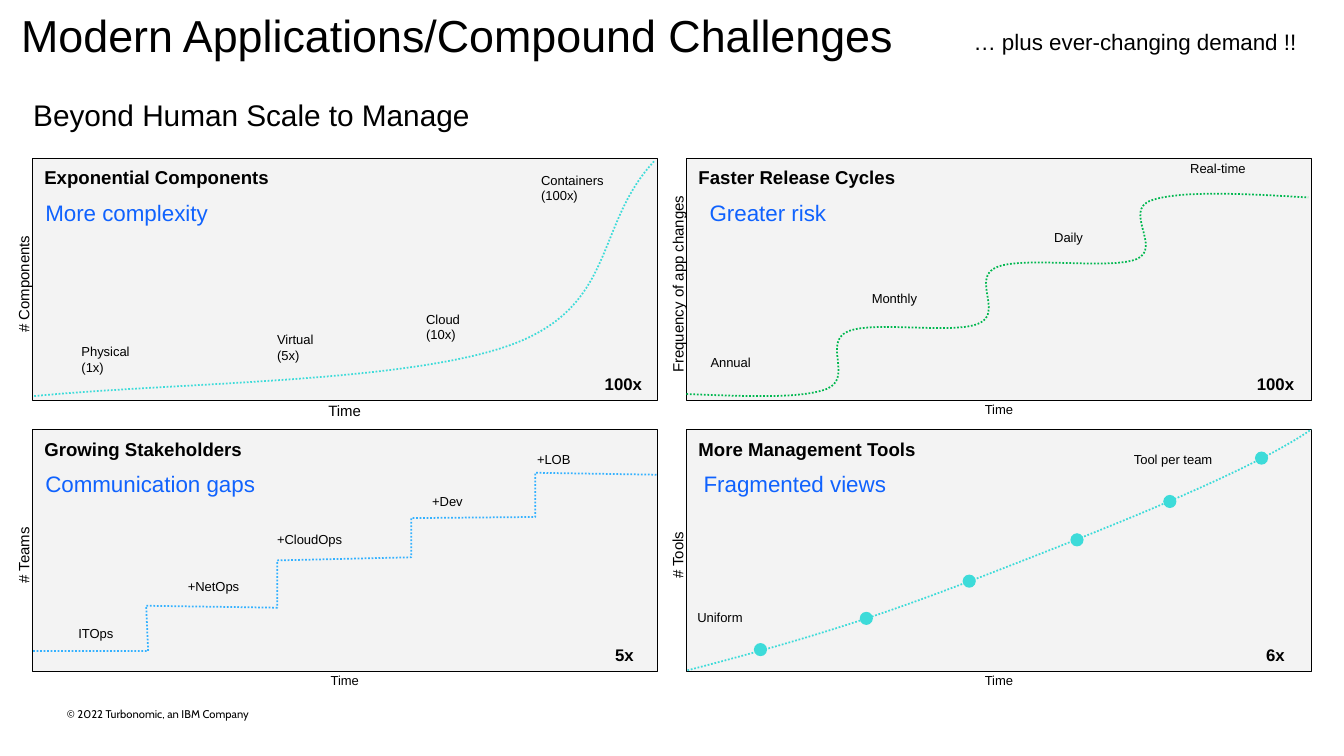
from lxml import etree
from pptx import Presentation
from pptx.dml.color import RGBColor
from pptx.enum.dml import MSO_LINE
from pptx.enum.shapes import MSO_SHAPE
from pptx.enum.text import MSO_ANCHOR, PP_ALIGN
from pptx.oxml.ns import qn
from pptx.util import Pt

RECTANGLE, OVAL = MSO_SHAPE.RECTANGLE, MSO_SHAPE.OVAL
TOP, MIDDLE, BOTTOM = MSO_ANCHOR.TOP, MSO_ANCHOR.MIDDLE, MSO_ANCHOR.BOTTOM
LEFT, CENTER = PP_ALIGN.LEFT, PP_ALIGN.CENTER
DOTTED = MSO_LINE.ROUND_DOT

BLACK = RGBColor(0x00, 0x00, 0x00)
PANEL_GRAY = RGBColor(0xF3, 0xF3, 0xF3)
BLUE = RGBColor(0x0F, 0x62, 0xFE)
SKY = RGBColor(0x33, 0xB1, 0xFF)
TEAL = RGBColor(0x3D, 0xDB, 0xD9)
GREEN = RGBColor(0x00, 0xB7, 0x4F)

# Panel grid, in points
PANEL_WIDTH, PANEL_HEIGHT = 446.4, 172.8
PANEL_LEFTS, PANEL_TOPS = (23.04, 490.32), (113.04, 306.72)
DOT_SIZE = 9.4

# Positions inside a panel are relative to its top left corner.
# Labels: text, left, top, width, height
PANELS = [
    dict(title="Exponential Components", effect="More complexity", effect_left=0.7,
         axis="# Components", axis_length=77, time_size=10.7,
         total="100x", total_center=422.3, color=TEAL, curved=True,
         points=[(1.4, 169.9), (107.3, 159.8), (270, 160.6), (344.2, 132.5),
                 (417.6, 104.4), (401.8, 47.5), (444.2, 2.2)],
         labels=[("Physical\n(1x)", 28.1, 128.9, 69.8, 29.5),
                 ("Virtual\n(5x)", 167.8, 120.2, 63.4, 72),
                 ("Cloud\n(10x)", 274.3, 105.8, 55.4, 83.5),
                 ("Containers\n(100x)", 356.4, 6.5, 87.8, 95)]),
    dict(title="Faster Release Cycles", effect="Greater risk", effect_left=7.9,
         axis="Frequency of app changes", axis_length=171, time_size=9.3,
         total="100x", total_center=420.8, color=GREEN, curved=True,
         points=[(0, 168.5), (40.3, 169.9), (80.6, 172.1), (100.1, 164.9),
                 (119.5, 157), (97.2, 131.8), (115.2, 123.8),
                 (133.2, 115.9), (191.5, 126), (208.8, 118.1),
                 (226.8, 110.9), (203, 85), (221.8, 77.8),
                 (240.5, 69.8), (303.1, 79.9), (321.8, 72),
                 (339.8, 64.1), (311.8, 37.4), (331.9, 30.2),
                 (352.1, 23), (398.2, 25.2), (444.2, 28.1)],
         labels=[("Annual", 10.1, 136.8, 43.9, 60.5),
                 ("Monthly", 125.3, 90.7, 47.5, 29.5),
                 ("Daily", 255.6, 47.5, 35.3, 29.5),
                 ("Real-time", 352.8, -2.2, 55.4, 29.5)]),
    dict(title="Growing Stakeholders", effect="Communication gaps", effect_left=0.7,
         axis="# Teams", axis_length=49, time_size=9.3,
         total="5x", total_center=423, color=SKY, curved=False,
         points=[(0.7, 158.4), (82.8, 158.4), (81.4, 126), (175, 127.4),
                 (175, 93.6), (270.7, 91.4), (270.7, 63.4), (359.3, 62.6),
                 (359.3, 31), (446.4, 32.4)],
         labels=[("ITOps", 25.9, 136.8, 61.2, 29.5),
                 ("+NetOps", 104, 103, 60, 29.5),
                 ("+CloudOps", 167.8, 69.1, 91.4, 41),
                 ("+Dev", 278.6, 42.5, 53.3, 52.6),
                 ("+LOB", 353.5, 12.2, 54.7, 64.1)]),
    dict(title="More Management Tools", effect="Fragmented views", effect_left=3.6,
         axis="# Tools", axis_length=42, time_size=9.3,
         total="6x", total_center=420.8, color=TEAL, curved=True,
         points=[(0.7, 172.1), (106.6, 144.7), (155.5, 126.7), (229.7, 97.9),
                 (303.8, 69.1), (403.9, 29.5), (446.4, 0)],
         labels=[("Uniform", 0.7, 125.3, 47.5, 29.5),
                 ("Tool per team", 312.5, 12.2, 73.4, 18.7)],
         dots=[(48.2, 152.6), (123.8, 130.3), (197.3, 103.7),
               (274.3, 74.2), (340.6, 46.8), (406.1, 15.8)]),
]


def write(frame, text, size=9.3, color=BLACK, bold=False, font="Arial", align=LEFT,
          anchor=TOP, insets=(7.2, 3.6, 7.2, 3.6), spacing=None, wrap=False):
    frame.word_wrap = wrap
    frame.vertical_anchor = anchor
    (frame.margin_left, frame.margin_top,
     frame.margin_right, frame.margin_bottom) = map(Pt, insets)
    for index, line in enumerate(text.split("\n")):
        para = frame.paragraphs[0] if index == 0 else frame.add_paragraph()
        para.alignment = align
        if spacing:
            para.line_spacing = spacing
        span = para.add_run()
        span.text = line
        span.font.name, span.font.size, span.font.bold = font, Pt(size), bold
        span.font.color.rgb = color


def add_text(page, text, left, top, width, height, **style):
    box = page.shapes.add_textbox(Pt(left), Pt(top), Pt(width), Pt(height))
    write(box.text_frame, text, **style)
    return box


def add_preset(page, preset, left, top, width, height, fill):
    shape = page.shapes.add_shape(preset, Pt(left), Pt(top), Pt(width), Pt(height))
    shape.shadow.inherit = False
    shape.fill.solid()
    shape.fill.fore_color.rgb = fill
    shape.line.fill.background()
    return shape


def add_trend(page, points, color, curved):
    """Dotted open line; a curved one takes three points per Bezier segment."""
    start, *rest = [(Pt(x), Pt(y)) for x, y in points]
    builder = page.shapes.build_freeform(*start)
    builder.add_line_segments(rest, close=False)
    trend = builder.convert_to_shape()
    trend.shadow.inherit = False
    trend.fill.background()
    trend.line.color.rgb = color
    trend.line.width = Pt(1.25)
    trend.line.dash_style = DOTTED
    if curved:
        segments = list(trend._element.iter(qn("a:lnTo")))
        outline = segments[0].getparent()
        for first in range(0, len(segments), 3):
            bezier = etree.SubElement(outline, qn("a:cubicBezTo"))
            for segment in segments[first:first + 3]:
                bezier.append(segment[0])
                outline.remove(segment)


def add_panel(page, left, top, panel):
    # Frame with its title
    frame = add_preset(page, RECTANGLE, left, top, PANEL_WIDTH, PANEL_HEIGHT, PANEL_GRAY)
    frame.line.color.rgb = BLACK
    frame.line.width = Pt(0.75)
    write(frame.text_frame, panel["title"], size=13.3, bold=True,
          insets=(8.64, 5.76, 0, 1.44), wrap=True)
    add_text(page, panel["effect"], left + panel["effect_left"], top + 25.4, 200, 26.6,
             size=16, color=BLUE, insets=(8.64, 3.6, 7.2, 3.6))

    # Axis names
    add_text(page, "Time", left + PANEL_WIDTH / 2 - 20, top + 170, 40, 19,
             size=panel["time_size"], align=CENTER)
    length = panel["axis_length"]
    axis = add_text(page, panel["axis"], left - 6.3 - length / 2,
                    top + PANEL_HEIGHT / 2 - 10, length, 20,
                    size=10.7, align=CENTER, insets=(0, 3.6, 7.2, 3.6))
    axis.rotation = 270

    # Trend line, its dots and labels
    points = [(left + x, top + y) for x, y in panel["points"]]
    add_trend(page, points, panel["color"], panel["curved"])
    for x, y in panel.get("dots", []):
        add_preset(page, OVAL, left + x, top + y, DOT_SIZE, DOT_SIZE, panel["color"])
    for text, x, y, width, height in panel["labels"]:
        add_text(page, text, left + x, top + y, width, height)

    # Growth total
    add_text(page, panel["total"], left + panel["total_center"] - 20.5, top + 150,
             41, 21.6, size=12, bold=True, align=CENTER, anchor=BOTTOM)


def add_headings(page, left, top):
    flush = dict(insets=(0, 0, 0, 0), spacing=Pt(38.4), wrap=True)
    add_text(page, "Modern Applications/Compound Challenges", left, top,
             801, 43.2, size=32, **flush)
    add_text(page, "Beyond Human Scale to Manage", left + 8.64, top + 50.4,
             801, 43.2, size=21.3, **flush)
    add_text(page, "… plus ever-changing demand !!", left + 673.2, top + 3.6,
             260, 43.2, size=16, anchor=MIDDLE, spacing=0.9, wrap=True)


def add_footer(page, left, top):
    add_text(page, "© 2022 Turbonomic, an IBM Company", left, top, 324, 13,
             size=8, font="Cabin", anchor=MIDDLE, insets=(7.2, 0, 7.2, 0))


def main():
    deck = Presentation()
    deck.slide_width, deck.slide_height = Pt(960), Pt(540)
    page = deck.slides.add_slide(deck.slide_layouts[6])
    add_footer(page, 40.7, 503.3)
    add_headings(page, 15.12, 5.76)
    for index, panel in enumerate(PANELS):
        row, column = divmod(index, 2)
        add_panel(page, PANEL_LEFTS[column], PANEL_TOPS[row], panel)
    deck.save("out.pptx")


if __name__ == "__main__":
    main()
